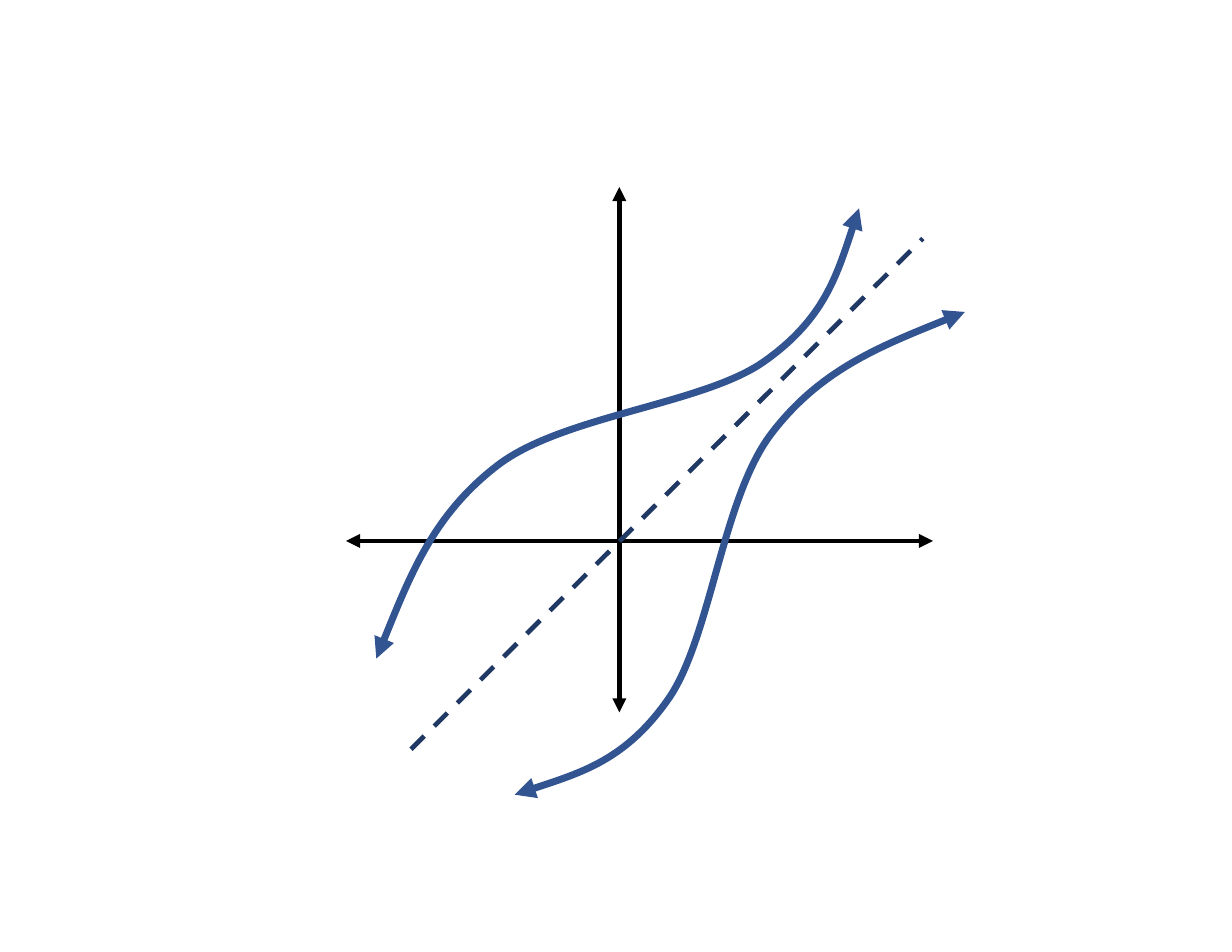
"""Build a slide showing a function and its inverse mirrored across a dashed line."""
from lxml import etree
from pptx import Presentation
from pptx.dml.color import RGBColor
from pptx.enum.dml import MSO_LINE_DASH_STYLE as DASH
from pptx.enum.shapes import MSO_CONNECTOR as CONNECTOR
from pptx.oxml.ns import qn
from pptx.util import Inches, Pt

COLORS = {"axis": "000000", "curve": "325491", "mirror": "203864"}

CURVE_POINTS = [
    (3.36, 5.88),
    (3.62, 5.24), (3.87, 4.59), (4.45, 4.15),
    (5.03, 3.71), (6.28, 3.61), (6.82, 3.23),
    (7.36, 2.85), (7.51, 2.35), (7.67, 1.86),
]
ORIGIN_X, ORIGIN_Y = 5.53, 4.83


class GraphSlide:
    """Hold the drawing style and the current slide."""

    def __init__(self, presentation):
        self.slide = presentation.slides.add_slide(presentation.slide_layouts[6])

    def style_line(self, shape, color, width, arrows):
        """Set colour and width, and put arrowheads on both ends if wanted."""
        shape.line.color.rgb = RGBColor.from_string(COLORS[color])
        shape.line.width = Pt(width)
        if arrows:
            outline = shape.line._get_or_add_ln()
            for end in ("a:headEnd", "a:tailEnd"):
                etree.SubElement(outline, qn(end), type="triangle")

    def add_line(self, start, end, color, arrows=True):
        """Draw a straight line between two points."""
        connector = self.slide.shapes.add_connector(
            CONNECTOR.STRAIGHT, *(Inches(value) for value in (*start, *end))
        )
        self.style_line(connector, color, 3, arrows)
        etree.SubElement(connector._element.spPr, qn("a:effectLst"))
        return connector

    def add_curve(self, points):
        """Draw a chain of cubic curves, given a start and three points for each."""
        start, *controls = [(Inches(x), Inches(y)) for x, y in points]
        builder = self.slide.shapes.build_freeform(*start)
        builder.add_line_segments(controls, close=False)
        shape = builder.convert_to_shape()
        outline_path = next(shape._element.iter(qn("a:path")))
        segments = outline_path.findall(qn("a:lnTo"))
        for first in range(0, len(segments), 3):
            cubic = etree.SubElement(outline_path, qn("a:cubicBezTo"))
            for segment in segments[first:first + 3]:
                cubic.append(segment[0])
                outline_path.remove(segment)
        shape.fill.background()
        shape.shadow.inherit = False
        self.style_line(shape, "curve", 4.5, True)
        return shape

    def add_inverse(self, points, left, top):
        """Draw the curve with its two axes swapped."""
        shape = self.add_curve(points)
        shape.left, shape.top = Inches(left), Inches(top)
        shape.rotation = 90
        shape._element.spPr.find(qn("a:xfrm")).set("flipV", "1")


def main():
    """Draw the graph and save the presentation."""
    presentation = Presentation()
    presentation.slide_width, presentation.slide_height = Inches(11), Inches(8.5)
    graph = GraphSlide(presentation)
    graph.add_line((3.09, ORIGIN_Y), (8.33, ORIGIN_Y), "axis")
    graph.add_line((ORIGIN_X, 1.67), (ORIGIN_X, 6.36), "axis")
    graph.add_curve(CURVE_POINTS)
    mirror = graph.add_line((3.67, 6.69), (8.24, 2.13), "mirror", arrows=False)
    mirror.line.dash_style = DASH.DASH
    graph.add_inverse(CURVE_POINTS, 4.45, 2.93)
    presentation.save("out.pptx")


if __name__ == "__main__":
    main()
